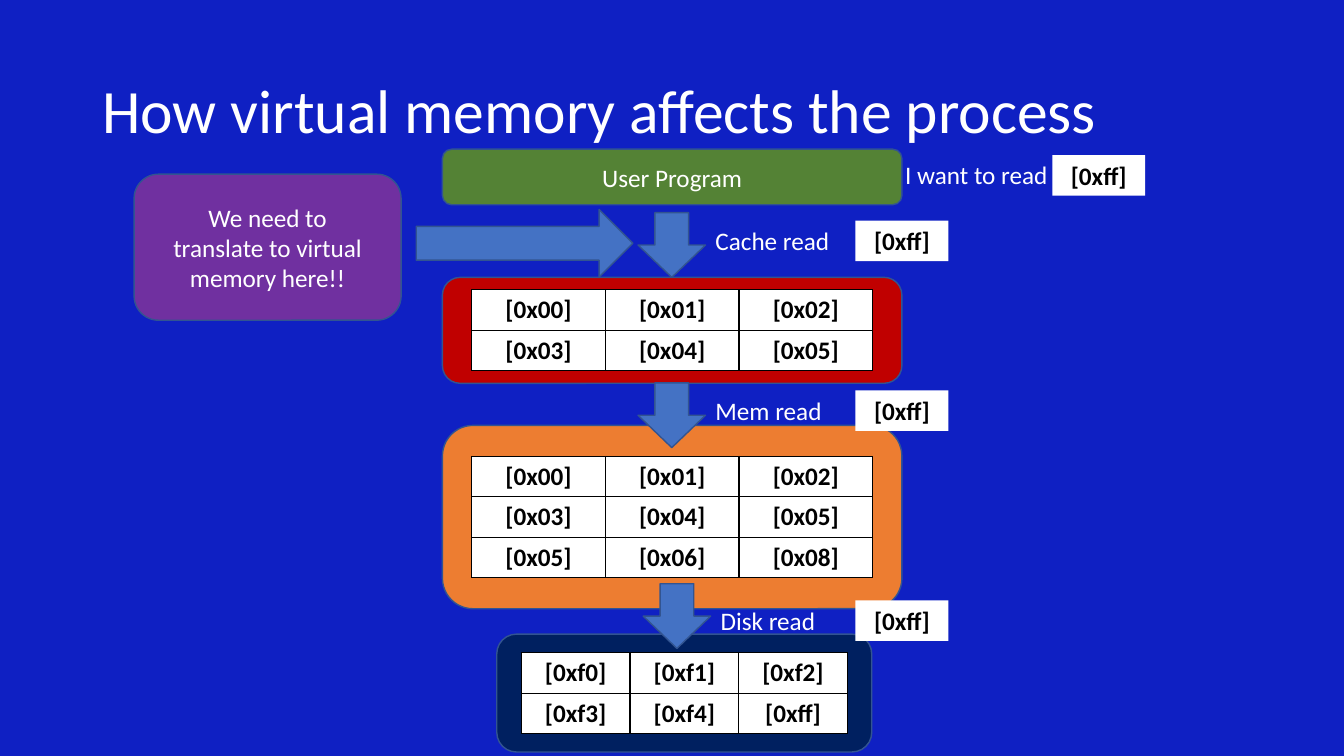
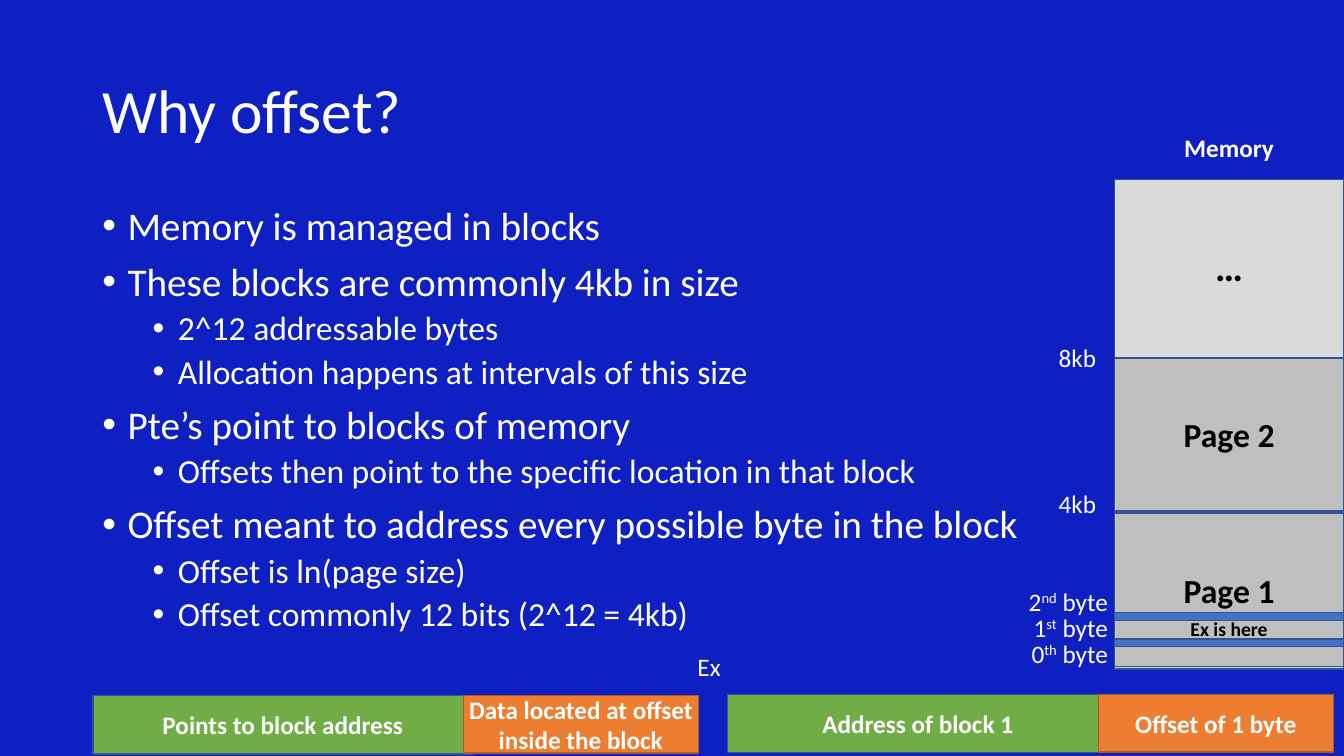
import lxml.etree
import pptx
import pptx.dml.color
import pptx.enum.shapes
import pptx.enum.text
import pptx.oxml.ns
import pptx.util

Cm = pptx.util.Cm
Pt = pptx.util.Pt
KIND = pptx.enum.shapes.MSO_SHAPE
ALIGN = pptx.enum.text.PP_ALIGN
ANCHOR = pptx.enum.text.MSO_ANCHOR
qn = pptx.oxml.ns.qn

FONT = "Calibri"
BACK = "0F20C3"
WHITE = "FFFFFF"
BLACK = "000000"
BLUE = "4472C4"
EDGE = "325491"
ORANGE = "ED7D31"
RUST = "AF5C24"
GREEN = "70AD47"
GRAY = "BFBFBF"
ROW = 1.02

CACHE = [["[0x00]", "[0x01]", "[0x02]"], ["[0x03]", "[0x04]", "[0x05]"]]
MEMORY = CACHE + [["[0x05]", "[0x06]", "[0x08]"]]
DISK = [["[0xf0]", "[0xf1]", "[0xf2]"], ["[0xf3]", "[0xf4]", "[0xff]"]]
POINTS = [
    (0, "Memory is managed in blocks"),
    (0, "These blocks are commonly 4kb in size"),
    (1, "2^12 addressable bytes"),
    (1, "Allocation happens at intervals of this size"),
    (0, "Pte’s point to blocks of memory"),
    (1, "Offsets then point to the specific location in that block"),
    (0, "Offset meant to address every possible byte in the block"),
    (1, "Offset is ln(page size)"),
    (1, "Offset commonly 12 bits (2^12 = 4kb)"),
]


def tint(code):
    return pptx.dml.color.RGBColor.from_string(code)


def paint(item, code):
    item.fill.solid()
    item.fill.fore_color.rgb = tint(code)


def add_run(para, text, size=18, color=WHITE, bold=False, lift=0):
    run = para.add_run()
    run.text = text
    run.font.name = FONT
    run.font.size = Pt(size)
    run.font.bold = bold
    run.font.color.rgb = tint(color)
    if lift:
        run._r.get_or_add_rPr().set("baseline", str(lift * 1000))


def frame(slide, x, y, w, h):
    body = slide.shapes.add_textbox(Cm(x), Cm(y), Cm(w), Cm(h)).text_frame
    body.word_wrap = True
    return body


def label(slide, x, y, w, text, h=ROW, align=ALIGN.CENTER, **style):
    para = frame(slide, x, y, w, h).paragraphs[0]
    para.alignment = align
    add_run(para, text, **style)


def block(slide, kind, x, y, w, h, fill, edge=EDGE, text="", pad=0, **style):
    shape = slide.shapes.add_shape(kind, Cm(x), Cm(y), Cm(w), Cm(h))
    shape.shadow.inherit = False
    paint(shape, fill)
    if edge:
        shape.line.color.rgb = tint(edge)
        shape.line.width = Pt(1)
    else:
        shape.line.fill.background()
    if text:
        body = shape.text_frame
        body.word_wrap = True
        body.vertical_anchor = ANCHOR.MIDDLE
        body.margin_left = body.margin_right = Cm(pad)
        body.margin_top = body.margin_bottom = 0
        body.paragraphs[0].alignment = ALIGN.CENTER
        add_run(body.paragraphs[0], text, **style)


def border(cell):
    props = cell._tc.get_or_add_tcPr()
    for spot, side in enumerate(("a:lnL", "a:lnR", "a:lnT", "a:lnB")):
        line = lxml.etree.Element(qn(side), w=str(Pt(1)))
        fill = lxml.etree.SubElement(line, qn("a:solidFill"))
        lxml.etree.SubElement(fill, qn("a:srgbClr"), val=BLACK)
        props.insert(spot, line)


def grid(slide, x, y, width, rows):
    count = len(rows[0])
    table = slide.shapes.add_table(
        len(rows), count, Cm(x), Cm(y), Cm(width * count), Cm(ROW * len(rows))
    ).table
    table.first_row = table.horz_banding = False
    for col in table.columns:
        col.width = Cm(width)
    for r, row in enumerate(rows):
        table.rows[r].height = Cm(ROW)
        for c, text in enumerate(row):
            cell = table.cell(r, c)
            paint(cell, WHITE)
            border(cell)
            para = cell.text_frame.paragraphs[0]
            para.alignment = ALIGN.CENTER
            add_run(para, text, color=BLACK, bold=True)


def store(slide, x, y, w, h, fill, width, rows):
    block(slide, KIND.ROUNDED_RECTANGLE, x, y, w, h, fill)
    left = x + (w - width * len(rows[0])) / 2
    top = y + (h - ROW * len(rows)) / 2
    grid(slide, left, top, width, rows)


def tag(slide, x, y):
    block(slide, KIND.RECTANGLE, x, y, 2.34, ROW, WHITE, None, "[0xff]",
          color=BLACK, bold=True)


def hop(slide, x, y, line, text):
    block(slide, KIND.DOWN_ARROW, x, y, 1.7, 1.63, BLUE)
    label(slide, x + 1.7, line, 3.89, text, align=ALIGN.LEFT)
    tag(slide, 21.56, line)


def page(deck, title):
    slide = deck.slides.add_slide(deck.slide_layouts[6])
    paint(slide.background, BACK)
    body = frame(slide, 2.33, 1.01, 29.21, 3.68)
    body.vertical_anchor = ANCHOR.MIDDLE
    body.paragraphs[0].line_spacing = 0.9
    add_run(body.paragraphs[0], title, size=44)
    return slide


def bullets(slide, items):
    body = frame(slide, 2.33, 5.07, 29.21, 12.09)
    for spot, (level, text) in enumerate(items):
        para = body.add_paragraph() if spot else body.paragraphs[0]
        para.level = level
        para.line_spacing = 0.9
        para.space_before = Pt(5 if level else 10)
        props = para._p.get_or_add_pPr()
        props.set("marL", str(Pt(18 + 36 * level)))
        props.set("indent", str(-Pt(18)))
        lxml.etree.SubElement(props, qn("a:buFont"), typeface="Arial")
        lxml.etree.SubElement(props, qn("a:buChar"), char="•")
        add_run(para, text, size=24 if level else 28)


def process(deck):
    slide = page(deck, "How virtual memory affects the process")
    left, wide = 11.15, 11.58
    block(slide, KIND.ROUNDED_RECTANGLE, left, 3.76, wide, 1.4, "548235",
          text="User Program")
    store(slide, left, 6.99, wide, 2.67, "C00000", 3.37, CACHE)
    store(slide, left, 10.72, wide, 4.62, ORANGE, 3.37, MEMORY)
    store(slide, 12.52, 15.98, 9.45, 2.97, "002060", 2.74, DISK)
    hop(slide, 16.08, 5.36, 5.56, "Cache read")
    hop(slide, 16.08, 9.65, 9.84, "Mem read")
    hop(slide, 16.21, 14.71, 15.13, "Disk read")
    block(slide, KIND.ROUNDED_RECTANGLE, 3.38, 4.39, 6.73, 3.68, "7030A0",
          text="We need to translate to virtual memory here!!", pad=0.65)
    block(slide, KIND.RIGHT_ARROW, 10.49, 5.28, 5.46, 1.7, BLUE)
    tag(slide, 26.52, 3.91)
    label(slide, 22.56, 3.89, 4.34, "I want to read", align=ALIGN.LEFT)


def offset(deck):
    slide = page(deck, "Why offset?")
    bullets(slide, POINTS)
    left, wide = 28.09, 5.77
    dark = {"color": BLACK, "bold": True}
    label(slide, left, 3.2, wide, "Memory", bold=True)
    block(slide, KIND.RECTANGLE, left, 4.52, wide, 12.34, "D9D9D9")
    label(slide, left, 5.99, wide, "…", h=1.45, size=28, **dark)
    for y, text in ((9.02, "Page 2"), (12.93, "Page 1")):
        block(slide, KIND.RECTANGLE, left, y, wide, 3.86, GRAY,
              text=text, size=24, **dark)
    for y in (15.44, 16.1):
        block(slide, KIND.RECTANGLE, left, y, wide, 0.2, BLUE)
    label(slide, left, 15.42, wide, "Ex is here", h=0.86, size=14, **dark)
    for y, text in ((8.51, "8kb"), (12.19, "4kb")):
        label(slide, 26.39, y, 1.52, text)
    for spot, mark in enumerate(("th", "st", "nd")):
        para = frame(slide, 25.4, 15.95 - 0.65 * spot, 2.77, ROW).paragraphs[0]
        para.alignment = ALIGN.RIGHT
        add_run(para, str(spot))
        add_run(para, mark, lift=30)
        add_run(para, " byte")
    label(slide, 15.62, 16.28, 4.5, "Ex")
    pairs = (
        (2.34, 17.53, "Points to block address",
         "Data located at offset inside the block"),
        (18.34, 17.5, "Address of block 1", "Offset of 1 byte"),
    )
    for x, y, base, shift in pairs:
        block(slide, KIND.RECTANGLE, x, y, 9.58, 1.47, GREEN,
              text=base, bold=True)
        block(slide, KIND.RECTANGLE, x + 9.34, y, 5.92, 1.45, ORANGE, RUST,
              text=shift, bold=True)


def main():
    deck = pptx.Presentation()
    deck.slide_width = Cm(33.87)
    deck.slide_height = Cm(19.05)
    process(deck)
    offset(deck)
    deck.save("out.pptx")


if __name__ == "__main__":
    main()
